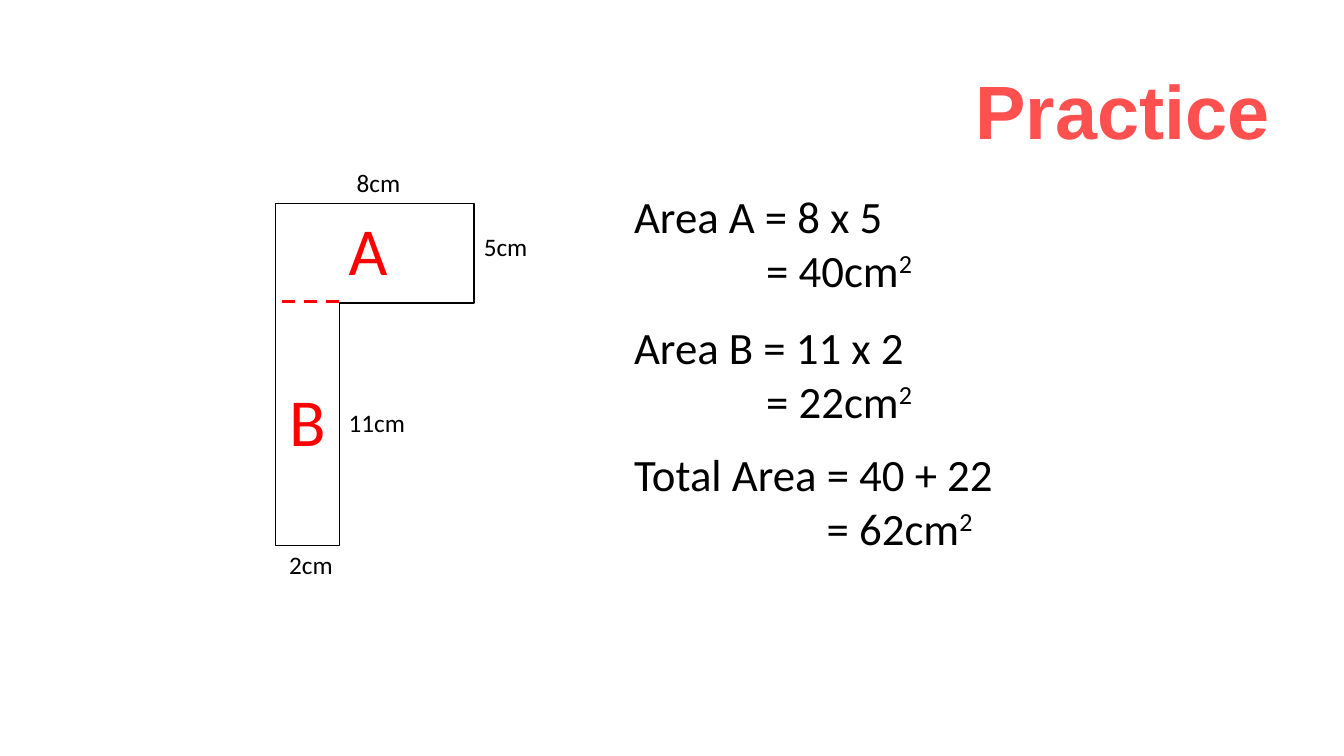
from pptx import Presentation
from pptx.dml.color import RGBColor
from pptx.enum.dml import MSO_LINE
from pptx.enum.shapes import MSO_CONNECTOR, MSO_SHAPE
from pptx.enum.text import MSO_ANCHOR, PP_ALIGN
from pptx.oxml.ns import qn
from pptx.util import Inches, Pt
from lxml import etree

BLACK = RGBColor(0x00, 0x00, 0x00)
WHITE = RGBColor(0xFF, 0xFF, 0xFF)
RED = RGBColor(0xFF, 0x00, 0x00)
CORAL = RGBColor(0xFF, 0x50, 0x50)

prs = Presentation()
prs.slide_width = Inches(13.33)
prs.slide_height = Inches(7.5)
s = prs.slides.add_slide(prs.slide_layouts[6])


def add_text(x, y, w, h, lines, size, color=BLACK, font="Calibri"):
    tf = s.shapes.add_textbox(Inches(x), Inches(y), Inches(w), Inches(h)).text_frame
    tf.word_wrap = True
    for i, line in enumerate(lines):
        p = tf.add_paragraph() if i else tf.paragraphs[0]
        p.text = line
        p.font.name = font
        p.font.size = Pt(size)
        p.font.color.rgb = color
    return tf


# Compound shape: a corner turned a quarter so that its arm points right
corner = s.shapes.add_shape(MSO_SHAPE.CORNER, Inches(2.02), Inches(2.73),
                            Inches(3.39), Inches(1.97))
corner.rotation = 90
corner.adjustments[0] = 0.323
corner.adjustments[1] = 0.5
corner.shadow.inherit = False
corner.fill.solid()
corner.fill.fore_color.rgb = WHITE
corner.line.color.rgb = BLACK
corner.line.width = Pt(1)

# Side lengths
for x, y, length in [(4.7, 2.25, "5cm"), (3.36, 3.99, "11cm"),
                     (3.44, 1.61, "8cm"), (2.77, 5.4, "2cm")]:
    add_text(x, y, 1.1, 0.4, [length], 18)

# Dashed split between the two rectangles
split = s.shapes.add_connector(MSO_CONNECTOR.STRAIGHT, Inches(3.36), Inches(2.99),
                               Inches(2.73), Inches(2.99))
split.line.color.rgb = RED
split.line.width = Pt(2.25)
split.line.dash_style = MSO_LINE.DASH
etree.SubElement(split._element.spPr, qn("a:effectLst"))

for x, y, name in [(3.36, 2.02, "A"), (2.77, 3.71, "B")]:
    add_text(x, y, 0.87, 0.91, [name], 48, RED)

# Workings: the result is indented to line up under the equals sign
for y, w, working, result, indent in [
    (1.82, 3.62, "Area A = 8 x 5", "= 40cm", 1.31),
    (3.12, 3.62, "Area B = 11 x 2", "= 22cm", 1.31),
    (4.38, 4.09, "Total Area = 40 + 22", "= 62cm", 1.91),
]:
    p = add_text(6.19, y, w, 1.18, [working, result], 32).paragraphs[1]
    p._p.get_or_add_pPr().set("marL", str(Inches(indent)))
    r = p.add_run()
    r.text = "2"
    r._r.get_or_add_rPr().set("baseline", "30000")

title = add_text(3.28, 0.44, 9.41, 1.41, ["Practice"], 54, CORAL, "Arial")
title.vertical_anchor = MSO_ANCHOR.MIDDLE
p = title.paragraphs[0]
p.alignment = PP_ALIGN.RIGHT
p.line_spacing = 0.9
p.font.bold = True

prs.save("out.pptx")
